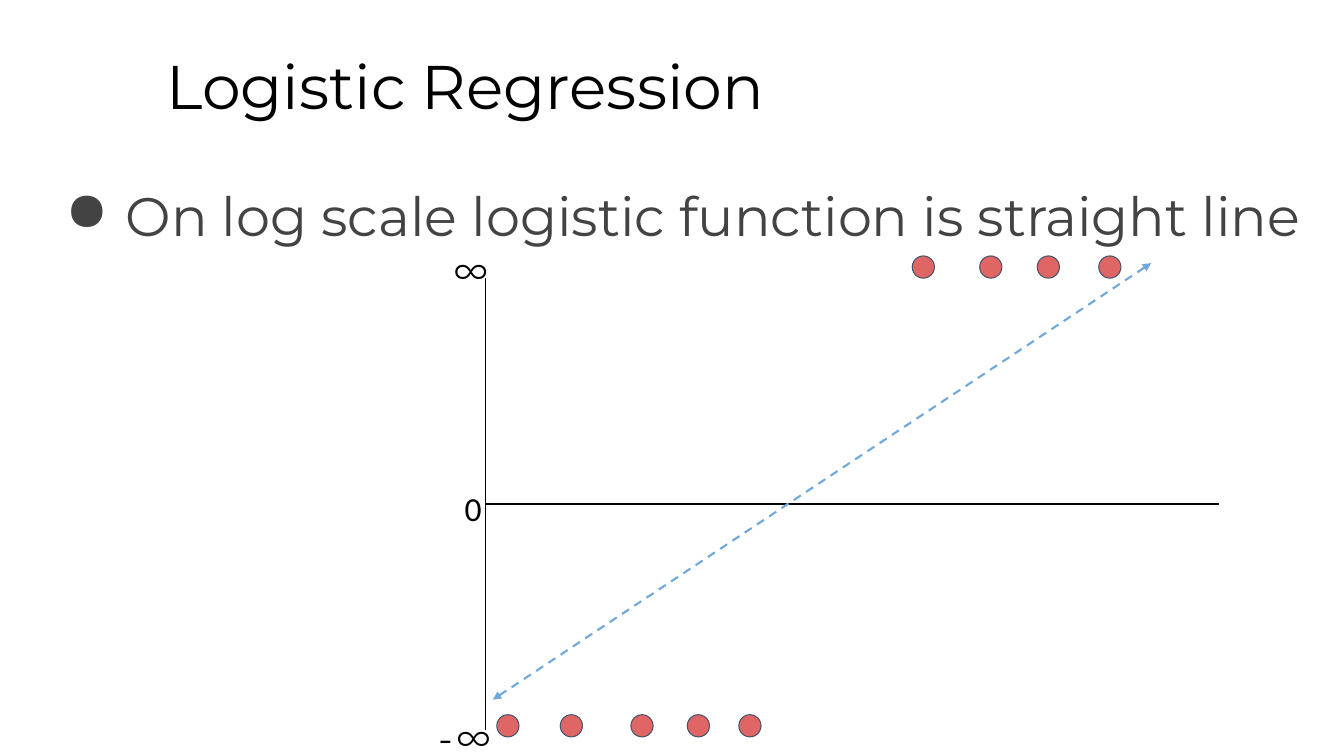
from lxml import etree
from pptx import Presentation
from pptx.dml.color import RGBColor
from pptx.enum.dml import MSO_LINE
from pptx.enum.shapes import MSO_CONNECTOR, MSO_SHAPE
from pptx.enum.text import MSO_ANCHOR, PP_ALIGN
from pptx.oxml.ns import qn
from pptx.util import Cm, Pt

STRAIGHT = MSO_CONNECTOR.STRAIGHT
OVAL = MSO_SHAPE.OVAL
DASH = MSO_LINE.DASH
TOP = MSO_ANCHOR.TOP
LEFT = PP_ALIGN.LEFT

BLACK = RGBColor(0x00, 0x00, 0x00)
GREY = RGBColor(0x43, 0x43, 0x43)
RED = RGBColor(0xE0, 0x66, 0x66)
SLATE = RGBColor(0x44, 0x54, 0x6A)
BLUE = RGBColor(0x6F, 0xA8, 0xDC)


class Page:
    """Draws styled text, lines and dots on one slide."""

    font = "Montserrat"
    inset = Cm(0.33)
    dot_size = Cm(0.56)

    def __init__(self, slide):
        self.shapes = slide.shapes

    def text(self, words, x, y, w, h, size, color=BLACK, font=None,
             space=None, left=0, hang=0, bullet=None):
        box = self.shapes.add_textbox(Cm(x), Cm(y), Cm(w), Cm(h))
        frame = box.text_frame
        frame.word_wrap = True
        frame.vertical_anchor = TOP
        frame.margin_left = frame.margin_right = self.inset
        frame.margin_top = frame.margin_bottom = self.inset
        para = frame.paragraphs[0]
        para.alignment = LEFT
        if space:
            para.line_spacing = space
        props = para._p.get_or_add_pPr()
        props.set("marL", str(Cm(left)))
        props.set("indent", str(Cm(hang)))
        if bullet:
            tint = etree.SubElement(props, qn("a:buClr"))
            etree.SubElement(tint, qn("a:srgbClr"), val=str(color))
            etree.SubElement(props, qn("a:buChar"), char=bullet)
        run = para.add_run()
        run.text = words
        run.font.name = font or self.font
        run.font.size = Pt(size)
        run.font.color.rgb = color

    def line(self, x1, y1, x2, y2, color=BLACK, width=0.75, dash=None,
             arrows=False):
        link = self.shapes.add_connector(
            STRAIGHT, Cm(x1), Cm(y1), Cm(x2), Cm(y2))
        link.line.color.rgb = color
        link.line.width = Pt(width)
        if dash:
            link.line.dash_style = dash
        if arrows:
            stroke = link.line._get_or_add_ln()
            for end in ("a:headEnd", "a:tailEnd"):
                etree.SubElement(stroke, qn(end), type="triangle")
        etree.SubElement(link._element.spPr, qn("a:effectLst"))

    def dot(self, x, y):
        dot = self.shapes.add_shape(
            OVAL, Cm(x), Cm(y), self.dot_size, self.dot_size)
        dot.shadow.inherit = False
        dot.fill.solid()
        dot.fill.fore_color.rgb = RED
        dot.line.color.rgb = SLATE
        dot.line.width = Pt(0.75)


def main():
    deck = Presentation()
    deck.slide_width = Cm(33.87)
    deck.slide_height = Cm(19.05)
    page = Page(deck.slides.add_slide(deck.slide_layouts[6]))

    page.text("Logistic Regression", 3.86, 1.09, 28.85, 2.13, 44, space=0.9)
    page.text("On log scale logistic function is straight line",
              1.14, 4.27, 32.72, 10.8, 38.7, GREY,
              left=1.7, hang=-1.52, bullet="●")

    page.line(12.24, 7.01, 12.24, 18.39)
    page.line(30.71, 12.7, 12.24, 12.7)
    page.text("0", 11.38, 11.96, 0.84, 0.99, 24, font="Calibri")
    page.text("∞", 11.1, 5.92, 0.84, 0.99, 26.7)
    page.text("∞", 9.47, 17.7, 3.61, 0.99, 26.7, left=1.7)
    page.text("-", 9.02, 17.7, 0.74, 0.99, 26.7, left=1.7)

    rows = {
        6.45: (22.99, 24.69, 26.14, 27.69),
        18.01: (12.52, 14.12, 15.9, 17.32, 18.62),
    }
    for y, spots in rows.items():
        for x in spots:
            page.dot(x, y)

    page.line(12.42, 17.63, 29.01, 6.63, BLUE, 1.5, DASH, True)
    deck.save("out.pptx")


if __name__ == "__main__":
    main()
